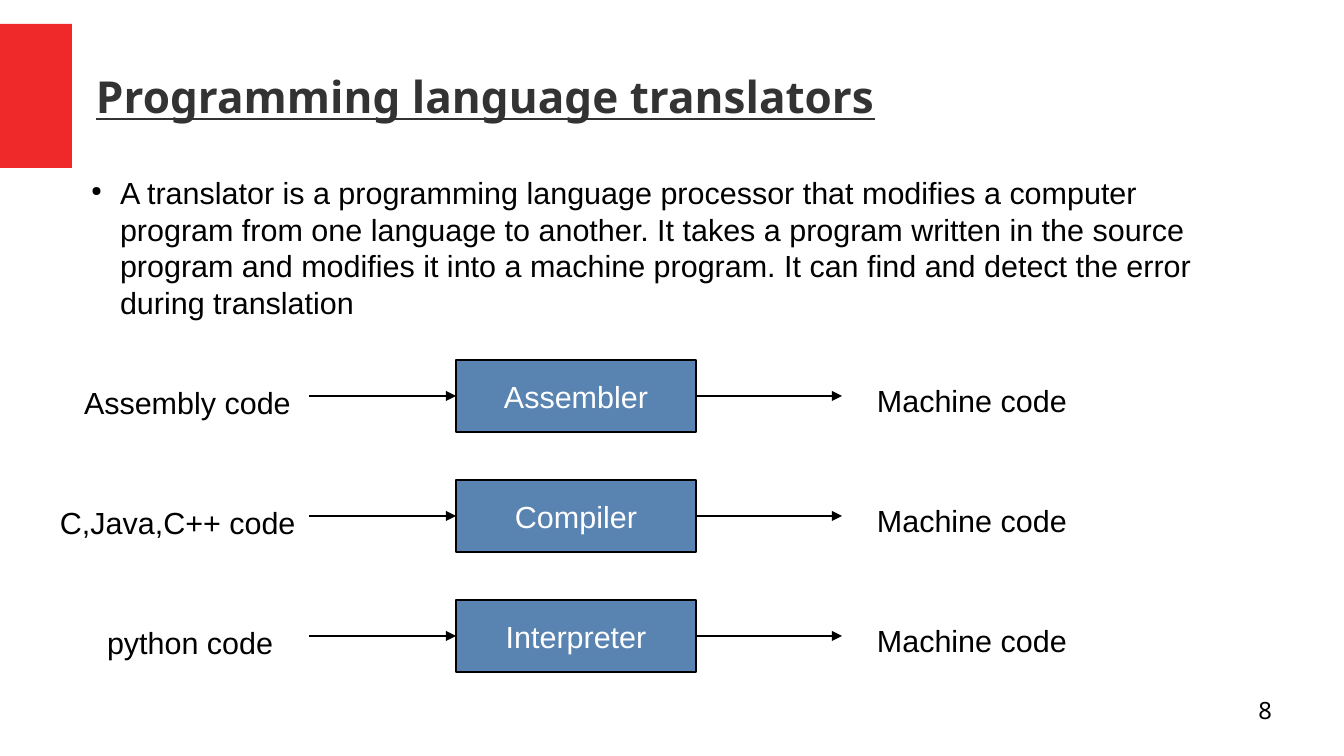
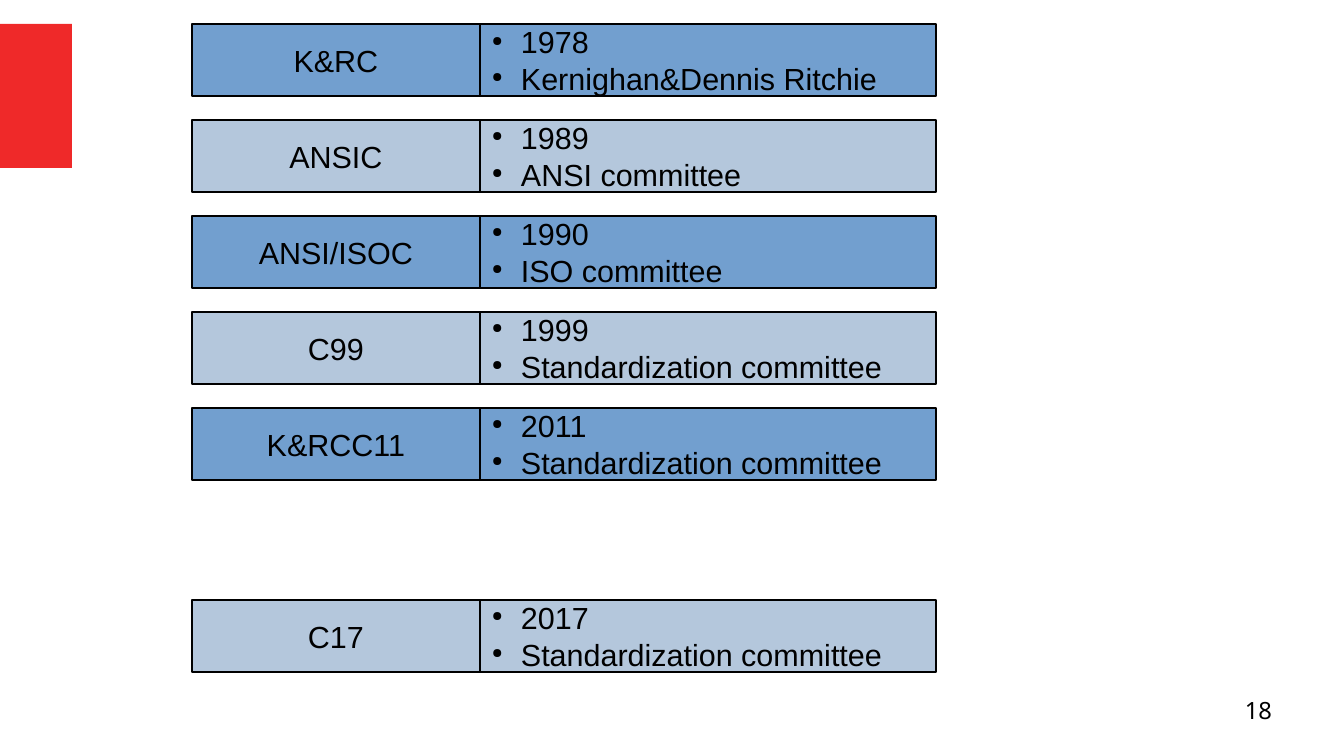
import pptx
import pptx.util
import pptx.dml.color
import pptx.enum.shapes
import pptx.enum.text
import pptx.oxml
import pptx.oxml.ns
import lxml.etree

RGBColor = pptx.dml.color.RGBColor
ALIGN = pptx.enum.text.PP_ALIGN
ANCHOR = pptx.enum.text.MSO_ANCHOR

# Shared look
EMU_PER_PX = 914400 / 122
SLIDE_W, SLIDE_H = 1344, 756
RED = RGBColor(0xEF, 0x29, 0x29)
DARK_GREY = RGBColor(0x33, 0x33, 0x33)
BLACK = RGBColor(0, 0, 0)
WHITE = RGBColor(0xFF, 0xFF, 0xFF)
STEEL_BLUE = RGBColor(0x59, 0x83, 0xB0)
MID_BLUE = RGBColor(0x72, 0x9F, 0xCF)
PALE_BLUE = RGBColor(0xB4, 0xC7, 0xDC)
BODY_FONT, TITLE_FONT = "Arial", "Noto Sans"
LINE_WIDTH = pptx.util.Pt(0.85)
BULLET_INDENT = 29
BOX_H = 72
INSETS = (12, 6)

# Content: source code, its translator, left and width of the source label
TRANSLATORS = [
    ("Assembly code", "Assembler", 72, 265),
    ("C,Java,C++ code", "Compiler", 48, 265),
    ("python code", "Interpreter", 95, 216),
]

# Content: grid row, version, year, author
VERSIONS = [
    (0, "K&RC", "1978", "Kernighan&Dennis Ritchie"),
    (1, "ANSIC", "1989", "ANSI committee"),
    (2, "ANSI/ISOC", "1990", "ISO committee"),
    (3, "C99", "1999", "Standardization committee"),
    (4, "K&RCC11", "2011", "Standardization committee"),
    (6, "C17", "2017", "Standardization committee"),
]


def px(length):
    return pptx.util.Emu(round(length * EMU_PER_PX))


def add_bullet(paragraph):
    props = paragraph._p.get_or_add_pPr()
    props.set("marL", str(px(BULLET_INDENT)))
    props.set("indent", str(-px(BULLET_INDENT)))
    colour = lxml.etree.SubElement(props, pptx.oxml.ns.qn("a:buClr"))
    lxml.etree.SubElement(colour, pptx.oxml.ns.qn("a:srgbClr"), val=str(BLACK))
    lxml.etree.SubElement(props, pptx.oxml.ns.qn("a:buSzPct"), val="45000")
    lxml.etree.SubElement(props, pptx.oxml.ns.qn("a:buChar"), char="●")


def write_text(shape, lines, size=18, font=BODY_FONT, color=BLACK, align=ALIGN.LEFT,
               anchor=ANCHOR.TOP, insets=INSETS, bulleted=False, heading=False):
    frame = shape.text_frame
    frame.word_wrap = True
    frame.vertical_anchor = anchor
    frame.margin_left = frame.margin_right = px(insets[0])
    frame.margin_top = frame.margin_bottom = px(insets[1])
    for index, line in enumerate(lines):
        paragraph = frame.add_paragraph() if index else frame.paragraphs[0]
        paragraph.alignment = align
        if bulleted:
            add_bullet(paragraph)
        run = paragraph.add_run()
        run.text = line
        run.font.size = pptx.util.Pt(size)
        run.font.name = font
        run.font.color.rgb = color
        run.font.bold = run.font.underline = heading


def add_label(slide, left, top, width, height, text, **style):
    label = slide.shapes.add_textbox(px(left), px(top), px(width), px(height))
    write_text(label, [text], **style)


def add_box(slide, left, top, width, height, fill, outlined=True):
    box = slide.shapes.add_shape(pptx.enum.shapes.MSO_SHAPE.RECTANGLE,
                                 px(left), px(top), px(width), px(height))
    box.shadow.inherit = False
    box.fill.solid()
    box.fill.fore_color.rgb = fill
    if outlined:
        box.line.color.rgb = BLACK
        box.line.width = LINE_WIDTH
    else:
        box.line.fill.background()
    return box


def add_arrow(slide, start, end, y):
    arrow = slide.shapes.add_connector(pptx.enum.shapes.MSO_CONNECTOR.STRAIGHT,
                                       px(start), px(y), px(end), px(y))
    arrow.line.color.rgb = BLACK
    arrow.line.width = LINE_WIDTH
    lxml.etree.SubElement(arrow.line._get_or_add_ln(),
                          pptx.oxml.ns.qn("a:tailEnd"), type="triangle")
    lxml.etree.SubElement(arrow._element.spPr, pptx.oxml.ns.qn("a:effectLst"))
    return arrow


def add_base_slide(deck, number, title=None):
    slide = deck.slides.add_slide(deck.slide_layouts[6])
    add_box(slide, 0, 24, 72, 144, RED, outlined=False)
    if title:
        add_label(slide, 96, 24, 1200, 144, title, size=26, font=TITLE_FONT,
                  color=DARK_GREY, anchor=ANCHOR.MIDDLE, insets=(0, 0), heading=True)
    add_label(slide, 960, 696, 312, 52, number, size=14, font=TITLE_FONT,
              align=ALIGN.RIGHT, insets=(0, 0))
    return slide


def add_translation(slide, top, source, translator, source_left, source_width):
    box_left, box_width = 456, 240
    middle = top + BOX_H // 2
    box = add_box(slide, box_left, top, box_width, BOX_H, STEEL_BLUE)
    write_text(box, [translator], color=WHITE, align=ALIGN.CENTER, anchor=ANCHOR.MIDDLE)
    add_label(slide, source_left, top + 18, source_width, 46, source)
    add_label(slide, 865, top + 16, 216, 46, "Machine code")
    add_arrow(slide, 309, box_left, middle).end_connect(box, 1)
    add_arrow(slide, box_left + box_width, 842, middle).begin_connect(box, 3)


def add_version(slide, row, version, year, author):
    top = 24 + row * 96
    fill = PALE_BLUE if version in ("ANSIC", "C99", "C17") else MID_BLUE
    name_box = add_box(slide, 192, top, 288, BOX_H, fill)
    write_text(name_box, [version], align=ALIGN.CENTER, anchor=ANCHOR.MIDDLE)
    details_box = add_box(slide, 480, top, 456, BOX_H, fill)
    write_text(details_box, [year, author], anchor=ANCHOR.MIDDLE, bulleted=True)


def main():
    deck = pptx.Presentation()
    deck.slide_width, deck.slide_height = px(SLIDE_W), px(SLIDE_H)

    # Translators
    translators = add_base_slide(deck, "8", "Programming language translators")
    add_label(translators, 79, 168, 1146, 115,
              "A translator is a programming language processor that modifies a computer "
              "program from one language to another. It takes a program written in the "
              "source program and modifies it into a machine program. It can find and "
              "detect the error during translation", bulleted=True)
    for row, translation in enumerate(TRANSLATORS):
        add_translation(translators, 360 + row * 120, *translation)

    # Versions of C
    versions = add_base_slide(deck, "18")
    for version in VERSIONS:
        add_version(versions, *version)

    deck.save("out.pptx")


if __name__ == "__main__":
    main()
